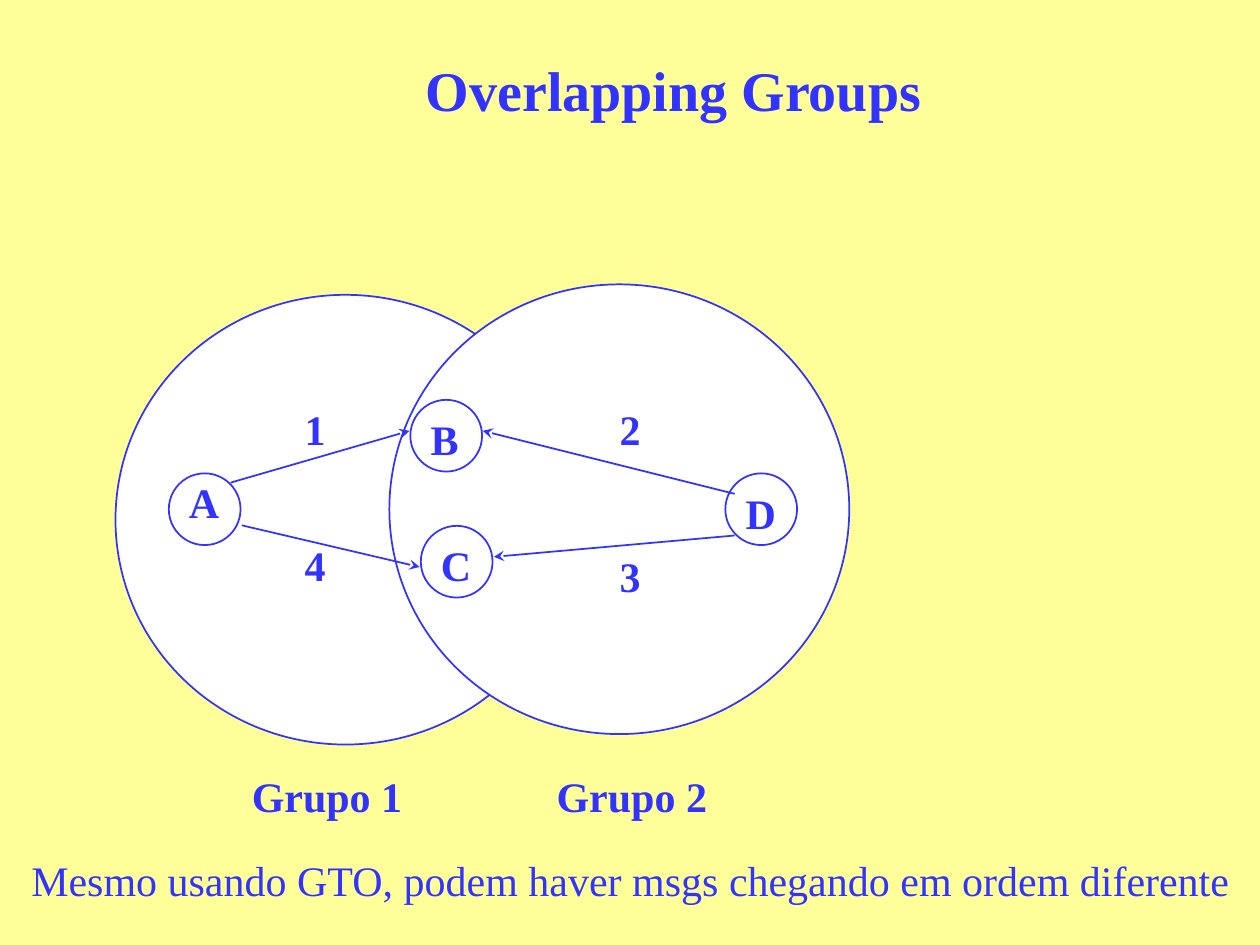
import pptx
import pptx.dml.color
import pptx.enum.shapes
import pptx.enum.text
import pptx.oxml
import pptx.util
from pptx.util import Pt

BLUE, WHITE, YELLOW = "3333FF", "FFFFFF", "FFFF99"
FONT = "Times New Roman"
NODE_SIZE = 41
GROUP_SIZE = (262.8, 257)

# Places are offsets in points from the top left of the diagram.
GROUPS = [("Grupo 1", (0, 6), (70.8, 274.5)),
          ("Grupo 2", (156.5, 0), (245, 274.5))]
NODES = [("A", (30.5, 108), (34.8, 106)),
         ("C", (174.5, 138), (178.8, 142)),
         ("B", (168.5, 66), (173, 70)),
         ("D", (348.5, 108), (353, 112.5))]
MESSAGES = [("1", (65.8, 113.3), (168, 83.7), (101, 64.3)),
            ("4", (72.2, 137.7), (173.8, 161.5), (101, 142)),
            ("2", (353.8, 119.7), (209.8, 83.7), (281, 64.3)),
            ("3", (353.8, 143.5), (216.2, 155.7), (281, 148.5))]


def rgb(hex_color):
    return pptx.dml.color.RGBColor.from_string(hex_color)


def format_text(shape, text, size, bold, align, wrap):
    frame = shape.text_frame
    frame.text = text
    frame_format = {
        "word_wrap": wrap,
        "vertical_anchor": pptx.enum.text.MSO_ANCHOR.TOP,
        "margin_left": Pt(7.2), "margin_right": Pt(7.2),
        "margin_top": Pt(3.6), "margin_bottom": Pt(3.6),
    }
    for name, value in frame_format.items():
        setattr(frame, name, value)
    paragraph = frame.paragraphs[0]
    paragraph.alignment = align
    font_format = {"name": FONT, "size": Pt(size), "bold": bold}
    for name, value in font_format.items():
        setattr(paragraph.font, name, value)
    paragraph.font.color.rgb = rgb(BLUE)


def add_label(slide, text, left, top, width, bold=True):
    shape = slide.shapes.add_textbox(Pt(left), Pt(top), Pt(width), Pt(36))
    format_text(shape, text, 24, bold, pptx.enum.text.PP_ALIGN.LEFT, False)
    shape.text_frame.auto_size = pptx.enum.text.MSO_AUTO_SIZE.SHAPE_TO_FIT_TEXT


def add_ellipse(slide, left, top, width, height):
    shape = slide.shapes.add_shape(pptx.enum.shapes.MSO_SHAPE.OVAL,
                                   Pt(left), Pt(top), Pt(width), Pt(height))
    shape.shadow.inherit = False
    shape.fill.solid()
    shape.fill.fore_color.rgb = rgb(WHITE)
    shape.line.color.rgb = rgb(BLUE)
    shape.line.width = Pt(1)


def add_arrow(slide, start, end):
    connector = slide.shapes.add_connector(
        pptx.enum.shapes.MSO_CONNECTOR.STRAIGHT,
        *(Pt(length) for length in (*start, *end)))
    connector.line.color.rgb = rgb(BLUE)
    connector.line.width = Pt(1)
    properties = connector.element.spPr
    namespace = pptx.oxml.ns.nsdecls("a")
    properties.find(pptx.oxml.ns.qn("a:ln")).append(
        pptx.oxml.parse_xml(f'<a:tailEnd {namespace} type="stealth"/>'))
    properties.append(pptx.oxml.parse_xml(f"<a:effectLst {namespace}/>"))


def place_title(slide, left, top, width, height):
    title = slide.shapes.title
    box = {"left": left, "top": top, "width": width, "height": height}
    for name, value in box.items():
        setattr(title, name, Pt(value))
    format_text(title, "Overlapping Groups", 32, True,
                pptx.enum.text.PP_ALIGN.CENTER, True)


def add_group_diagram(slide, left, top):
    def place(offset):
        return left + offset[0], top + offset[1]

    for _, corner, _ in GROUPS:
        add_ellipse(slide, *place(corner), *GROUP_SIZE)
    for _, corner, _ in NODES:
        add_ellipse(slide, *place(corner), NODE_SIZE, NODE_SIZE)
    for letter, _, label in NODES:
        add_label(slide, letter, *place(label), 31.5)
    for _, start, end, _ in MESSAGES:
        add_arrow(slide, place(start), place(end))
    for number, _, _, label in MESSAGES:
        add_label(slide, number, *place(label), 26.5)
    for name, _, label in GROUPS:
        add_label(slide, name, *place(label), 100.8)


def main():
    presentation = pptx.Presentation()
    presentation.slide_width = Pt(720)
    presentation.slide_height = Pt(540)
    slide = presentation.slides.add_slide(presentation.slide_layouts[5])
    slide.background.fill.solid()
    slide.background.fill.fore_color.rgb = rgb(YELLOW)
    place_title(slide, 52, 28, 666, 44)
    add_group_diagram(slide, 66, 162.5)
    add_label(slide,
              "Mesmo usando GTO, podem haver msgs chegando em ordem diferente",
              10.8, 484.6, 700, bold=False)
    presentation.save("out.pptx")


if __name__ == "__main__":
    main()
